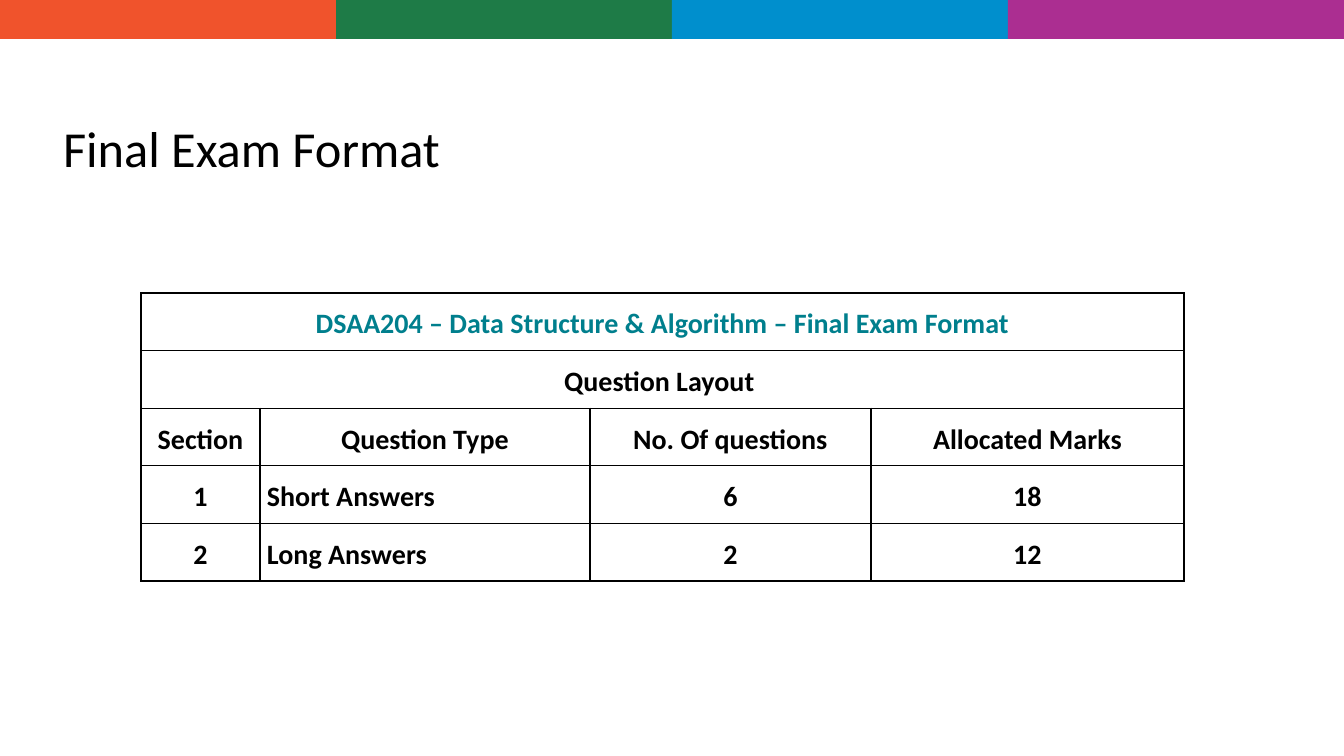
from dataclasses import dataclass

import pptx
import pptx.dml.color
import pptx.enum.shapes
import pptx.enum.text
import pptx.oxml
import pptx.oxml.ns
import pptx.util

ALIGN = pptx.enum.text.PP_ALIGN
ANCHOR = pptx.enum.text.MSO_ANCHOR
SLIDE_W, SLIDE_H = 1344, 756


@dataclass(frozen=True)
class Theme:
    font: str = "Calibri"
    title_size: int = 36
    table_size: int = 20
    border_width: int = 1
    ink: str = "000000"
    heading: str = "007F8D"
    bands: tuple[str, ...] = ("F0532C", "1E7B47", "008FCD", "AB2E91")


@dataclass(frozen=True)
class Box:
    left: int
    top: int
    width: int
    height: int


@dataclass(frozen=True)
class Column:
    width: int
    entry_align: ALIGN = ALIGN.CENTER


THEME = Theme()
BAND_HEIGHT = 39
TITLE = Box(58, -131, 1159, 314)
TABLE = Box(141, 293, 1043, 288)
COLUMNS = (Column(119), Column(330, ALIGN.LEFT), Column(281), Column(313))
BANNERS = (
    ("DSAA204 – Data Structure & Algorithm – Final Exam Format", THEME.heading),
    ("Question Layout ", THEME.ink),
)
HEADERS = ("Section", "Question Type", "No. Of questions", "Allocated Marks")
SECTIONS = (
    ("1", "Short Answers", "6", "18"),
    ("2", "Long Answers", "2", "12"),
)


def px(n: int) -> pptx.util.Emu:
    return pptx.util.Emu(round(n * 914400 / 100.8))


def rgb(code: str) -> pptx.dml.color.RGBColor:
    return pptx.dml.color.RGBColor.from_string(code)


def place(sp, box: Box) -> None:
    sp.left, sp.top = px(box.left), px(box.top)
    sp.width, sp.height = px(box.width), px(box.height)


def add_run(p, text: str, size: int, color: str, bold: bool = False) -> None:
    r = p.add_run()
    r.text = text
    r.font.name = THEME.font
    r.font.size = pptx.util.Pt(size)
    r.font.bold = bold
    r.font.color.rgb = rgb(color)


def add_bands(s) -> None:
    width = SLIDE_W // len(THEME.bands)
    for i, color in enumerate(THEME.bands):
        sp = s.shapes.add_shape(
            pptx.enum.shapes.MSO_SHAPE.RECTANGLE,
            px(i * width), 0, px(width), px(BAND_HEIGHT))
        sp.shadow.inherit = False
        sp.fill.solid()
        sp.fill.fore_color.rgb = rgb(color)
        sp.line.fill.background()


def add_title(s) -> None:
    sp = s.shapes.title
    place(sp, TITLE)
    tf = sp.text_frame
    tf.word_wrap = True
    tf.auto_size = pptx.enum.text.MSO_AUTO_SIZE.NONE
    tf.vertical_anchor = ANCHOR.BOTTOM
    tf.margin_left = tf.margin_right = tf.margin_top = tf.margin_bottom = px(5)
    p = tf.paragraphs[0]
    p.alignment = ALIGN.LEFT
    p.line_spacing = 0.9
    add_run(p, "Final Exam Format", THEME.title_size, THEME.ink)


def format_cell(cell) -> None:
    """Give the cell four borders, no fill and its margins."""
    tc_pr = cell._tc.get_or_add_tcPr()
    width = pptx.util.Pt(THEME.border_width)
    for side in "LRTB":
        tc_pr.append(pptx.oxml.parse_xml(
            f'<a:ln{side} {pptx.oxml.ns.nsdecls("a")} w="{width}"><a:solidFill>'
            f'<a:srgbClr val="{THEME.ink}"/></a:solidFill></a:ln{side}>'))
    cell.fill.background()
    cell.vertical_anchor = ANCHOR.MIDDLE
    cell.margin_left = cell.margin_right = px(7)
    cell.margin_top = cell.margin_bottom = 0


def write_cell(cell, text: str, color: str = THEME.ink,
               align: ALIGN = ALIGN.CENTER) -> None:
    p = cell.text_frame.paragraphs[0]
    p.alignment = align
    p.line_spacing = 1.15
    p.space_after = pptx.util.Pt(3)
    add_run(p, text, THEME.table_size, color, bold=True)


def add_exam_table(s) -> None:
    header_row = len(BANNERS)
    row_count = header_row + 1 + len(SECTIONS)
    table = s.shapes.add_table(
        row_count, len(COLUMNS), px(TABLE.left), px(TABLE.top),
        px(TABLE.width), px(TABLE.height)).table
    table.first_row = table.horz_banding = False
    for i, column in enumerate(COLUMNS):
        table.columns[i].width = px(column.width)
    for cell in table.iter_cells():
        format_cell(cell)

    for row, (text, color) in enumerate(BANNERS):
        table.cell(row, 0).merge(table.cell(row, len(COLUMNS) - 1))
        write_cell(table.cell(row, 0), text, color)
    for col, text in enumerate(HEADERS):
        write_cell(table.cell(header_row, col), text)
    for row, entries in enumerate(SECTIONS, start=header_row + 1):
        for col, text in enumerate(entries):
            write_cell(table.cell(row, col), text, align=COLUMNS[col].entry_align)


def main() -> None:
    prs = pptx.Presentation()
    prs.slide_width, prs.slide_height = px(SLIDE_W), px(SLIDE_H)
    s = prs.slides.add_slide(prs.slide_layouts.get_by_name("Title Only"))
    add_bands(s)
    add_title(s)
    add_exam_table(s)
    prs.save("out.pptx")


if __name__ == "__main__":
    main()
